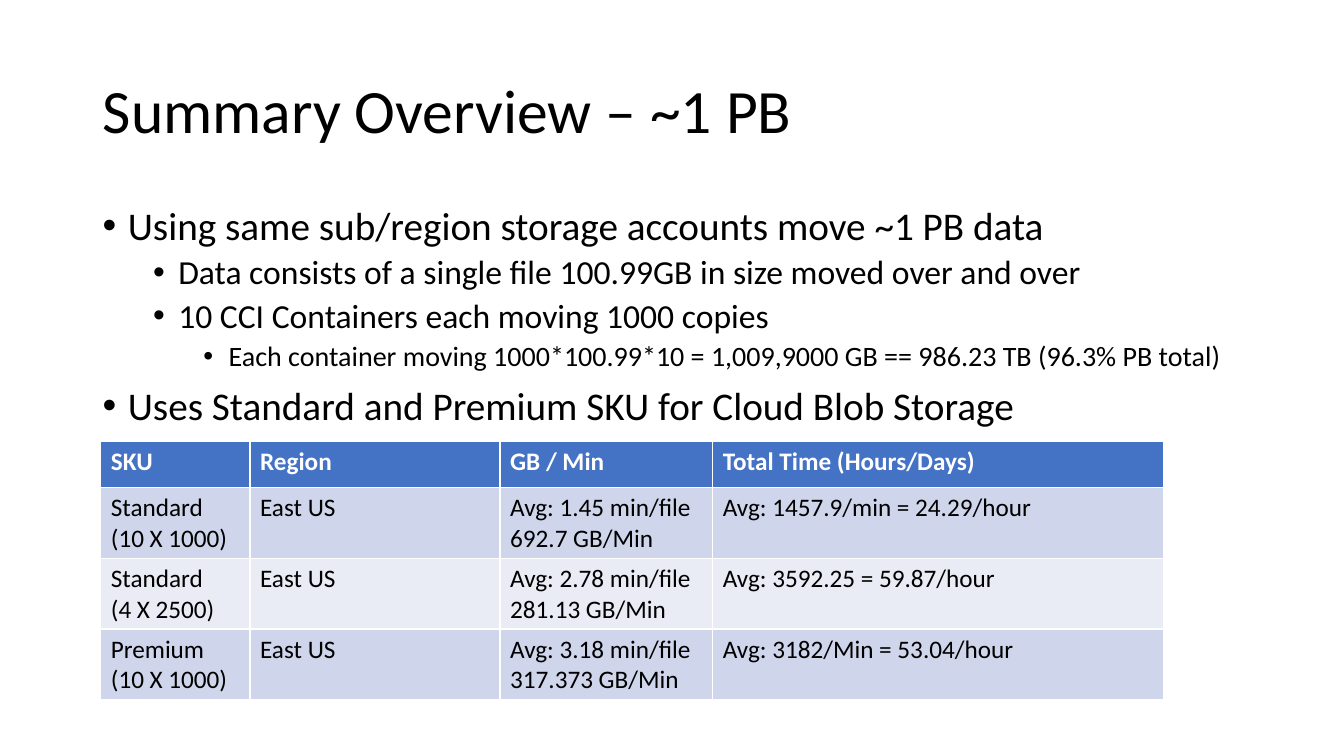
import lxml.etree
import pptx
import pptx.dml.color
import pptx.enum.text
import pptx.oxml.ns
import pptx.util

Inches = pptx.util.Inches
Pt = pptx.util.Pt
RGBColor = pptx.dml.color.RGBColor

BLACK = RGBColor(0x00, 0x00, 0x00)
WHITE = RGBColor(0xFF, 0xFF, 0xFF)
HEADER_BLUE = RGBColor(0x44, 0x72, 0xC4)
BAND_DARK = RGBColor(0xCF, 0xD5, 0xEA)
BAND_LIGHT = RGBColor(0xE9, 0xEB, 0xF5)
FONT_NAME = "Calibri"

TITLE = "Summary Overview – ~1 PB"
BULLETS = [
    (0, "Using same sub/region storage accounts move ~1 PB data"),
    (1, "Data consists of a single file 100.99GB in size moved over and over"),
    (1, "10 CCI Containers each moving 1000 copies"),
    (2, "Each container moving 1000*100.99*10 = 1,009,9000 GB == 986.23 TB (96.3% PB total)"),
    (0, "Uses Standard and Premium SKU for Cloud Blob Storage"),
]
BULLET_SIZES = [28, 24, 20]
COLUMN_WIDTHS = [1.48, 2.48, 2.11, 4.47]
HEADER_HEIGHT = 0.46
ROW_HEIGHT = 0.7
TABLE_ROWS = [
    ["SKU", "Region", "GB / Min", "Total Time (Hours/Days)"],
    ["Standard\n(10 X 1000)", "East US", "Avg: 1.45 min/file\n692.7 GB/Min",
     "Avg: 1457.9/min = 24.29/hour"],
    ["Standard\n(4 X 2500)", "East US", "Avg: 2.78 min/file\n281.13 GB/Min",
     "Avg: 3592.25 = 59.87/hour"],
    ["Premium\n(10 X 1000)", "East US", "Avg: 3.18 min/file\n317.373 GB/Min",
     "Avg: 3182/Min = 53.04/hour"],
]


def format_paragraph(paragraph, size, color=BLACK, bold=False):
    """Set the font and left alignment of a paragraph."""
    paragraph.alignment = pptx.enum.text.PP_ALIGN.LEFT
    paragraph.font.name = FONT_NAME
    paragraph.font.size = Pt(size)
    paragraph.font.color.rgb = color
    paragraph.font.bold = bold


def add_bullet(paragraph, level):
    """Give a paragraph a hanging bullet for its level."""
    paragraph.level = level
    properties = paragraph._p.get_or_add_pPr()
    properties.set("marL", str(Inches(0.25 + 0.5 * level)))
    properties.set("indent", str(Inches(-0.25)))
    font = lxml.etree.SubElement(properties, pptx.oxml.ns.qn("a:buFont"))
    font.set("typeface", "Arial")
    bullet = lxml.etree.SubElement(properties, pptx.oxml.ns.qn("a:buChar"))
    bullet.set("char", "•")


def place_title(slide, left, top, width, height):
    """Fill and position the title placeholder."""
    title = slide.shapes.title
    title.left, title.top = Inches(left), Inches(top)
    title.width, title.height = Inches(width), Inches(height)
    title.text_frame.text = TITLE
    title.text_frame.vertical_anchor = pptx.enum.text.MSO_ANCHOR.MIDDLE
    paragraph = title.text_frame.paragraphs[0]
    paragraph.line_spacing = 0.9
    format_paragraph(paragraph, 44)


def place_bullets(slide, left, top, width, height):
    """Add the bulleted summary in the given box."""
    box = slide.shapes.add_textbox(Inches(left), Inches(top), Inches(width), Inches(height))
    frame = box.text_frame
    frame.word_wrap = True
    frame.text = "\n".join(text for _, text in BULLETS)
    for paragraph, (level, _) in zip(frame.paragraphs, BULLETS):
        paragraph.line_spacing = 0.9
        paragraph.space_before = Pt(5 if level else 10)
        add_bullet(paragraph, level)
        format_paragraph(paragraph, BULLET_SIZES[level])


def place_table(slide, left, top):
    """Add the throughput table with its corner at the given point."""
    heights = [HEADER_HEIGHT] + [ROW_HEIGHT] * (len(TABLE_ROWS) - 1)
    table = slide.shapes.add_table(
        len(TABLE_ROWS), len(COLUMN_WIDTHS), Inches(left), Inches(top),
        Inches(sum(COLUMN_WIDTHS)), Inches(sum(heights))).table
    for column, width in zip(table.columns, COLUMN_WIDTHS):
        column.width = Inches(width)
    for row_index, (row, height, texts) in enumerate(zip(table.rows, heights, TABLE_ROWS)):
        row.height = Inches(height)
        is_header = row_index == 0
        band = BAND_DARK if row_index % 2 else BAND_LIGHT
        for cell, text in zip(row.cells, texts):
            cell.text = text
            cell.fill.solid()
            cell.fill.fore_color.rgb = HEADER_BLUE if is_header else band
            for paragraph in cell.text_frame.paragraphs:
                format_paragraph(paragraph, 18, WHITE if is_header else BLACK, is_header)


def main():
    """Build the summary slide and save it."""
    presentation = pptx.Presentation()
    presentation.slide_width = Inches(13.33)
    presentation.slide_height = Inches(7.5)
    slide = presentation.slides.add_slide(presentation.slide_layouts.get_by_name("Title Only"))
    place_title(slide, 0.92, 0.4, 11.5, 1.45)
    place_bullets(slide, 0.92, 2, 11.5, 4.76)
    place_table(slide, 1, 4.38)
    presentation.save("out.pptx")


if __name__ == "__main__":
    main()
